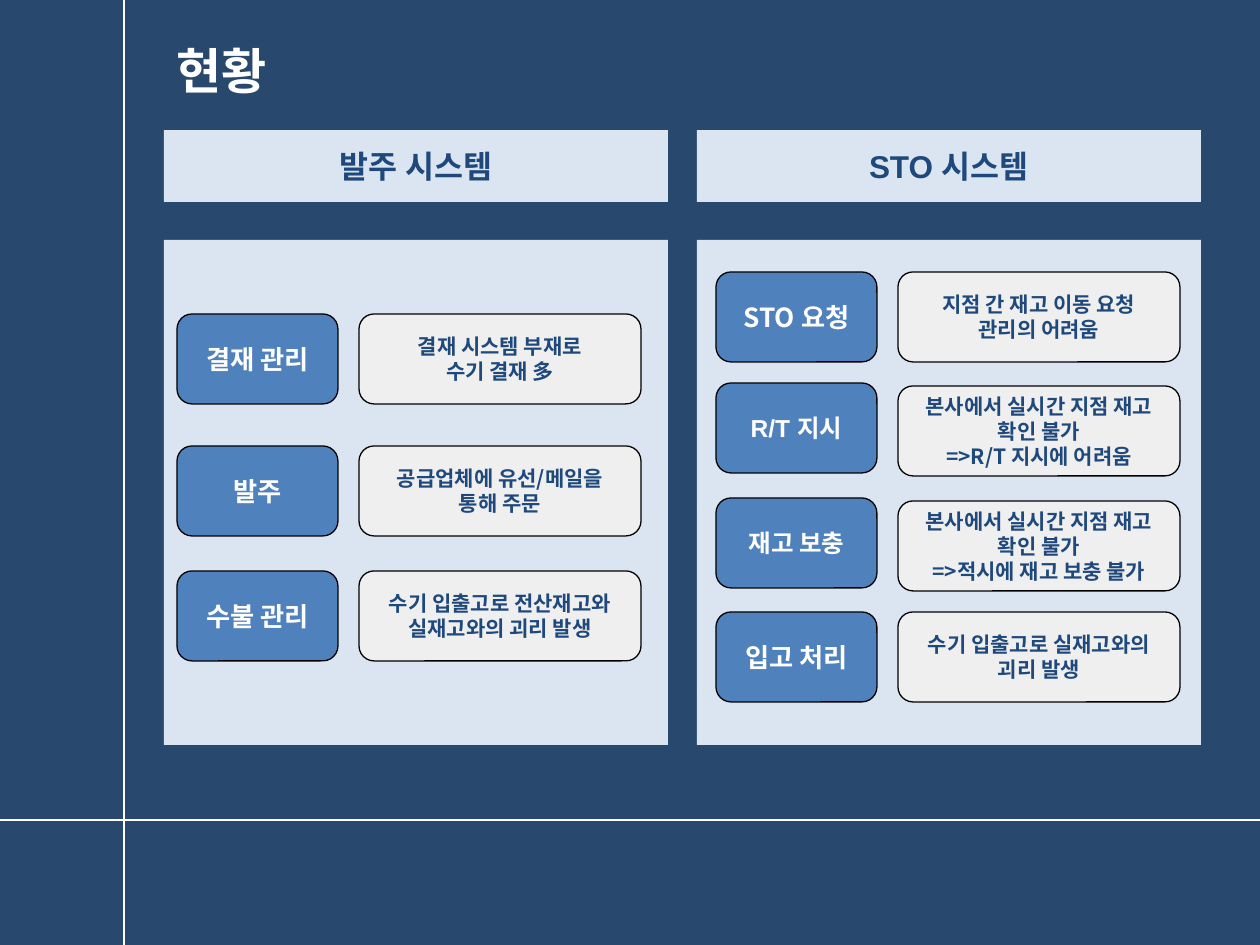
from dataclasses import dataclass

from lxml import etree
from pptx import Presentation
from pptx.dml.color import RGBColor
from pptx.enum.shapes import MSO_CONNECTOR, MSO_SHAPE
from pptx.enum.text import MSO_ANCHOR, PP_ALIGN
from pptx.oxml.ns import qn
from pptx.util import Emu, Pt

SCALE = 914400 // 126
WIDTH, HEIGHT = 1260, 945

NAVY = RGBColor(0x29, 0x48, 0x6D)
WHITE = RGBColor(0xFF, 0xFF, 0xFF)
BLACK = RGBColor(0, 0, 0)
PALE_BLUE = RGBColor(0xDA, 0xE5, 0xF1)
BLUE = RGBColor(0x4F, 0x81, 0xBD)
PALE_GRAY = RGBColor(0xEF, 0xEF, 0xEF)
DARK_BLUE = RGBColor(0x1F, 0x49, 0x7D)

KOREAN_FONT = "Noto Sans CJK KR"
LATIN_FONT = "Arial"
RECTANGLE = MSO_SHAPE.RECTANGLE
ROUNDED = MSO_SHAPE.ROUNDED_RECTANGLE
STRAIGHT = MSO_CONNECTOR.STRAIGHT
LEFT, CENTER = PP_ALIGN.LEFT, PP_ALIGN.CENTER
TOP, MIDDLE = MSO_ANCHOR.TOP, MSO_ANCHOR.MIDDLE

PANEL_WIDTH = 504
HEADER_TOP, HEADER_HEIGHT = 130, 72
PANEL_TOP, PANEL_HEIGHT = 240, 505
TASK_WIDTH, ISSUE_WIDTH, BOX_HEIGHT = 161, 282, 90
ISSUE_OFFSET = 182


@dataclass
class Row:
    top: int
    task: str
    issue: str
    size: int = 15
    font: str = KOREAN_FONT
    issue_drop: int = 0


@dataclass
class System:
    left: int
    inset: int
    name: str
    rows: list[Row]


SYSTEMS = [
    System(164, 13, "발주 시스템", [
        Row(314, "결재 관리", "결재 시스템 부재로\n수기 결재 多"),
        Row(446, "발주", "공급업체에 유선/메일을 통해 주문"),
        Row(571, "수불 관리", "수기 입출고로 전산재고와 실재고와의 괴리 발생"),
    ]),
    System(697, 19, "STO 시스템", [
        Row(272, "STO 요청", "지점 간 재고 이동 요청 관리의 어려움"),
        Row(383, "R/T 지시", "본사에서 실시간 지점 재고 확인 불가\n=>R/T 지시에 어려움",
            14, LATIN_FONT, 3),
        Row(498, "재고 보충", "본사에서 실시간 지점 재고 확인 불가\n=>적시에 재고 보충 불가",
            14, LATIN_FONT, 3),
        Row(612, "입고 처리", "수기 입출고로 실재고와의 괴리 발생"),
    ]),
]


def px(length: int) -> Emu:
    return Emu(length * SCALE)


def write_text(shape, text: str, *, size: int, color: RGBColor,
               font: str = KOREAN_FONT, align=CENTER, anchor=MIDDLE) -> None:
    frame = shape.text_frame
    frame.word_wrap = True
    frame.vertical_anchor = anchor
    for index, line in enumerate(text.split("\n")):
        paragraph = frame.add_paragraph() if index else frame.paragraphs[0]
        paragraph.alignment = align
        run = paragraph.add_run()
        run.text = line
        run.font.size = Pt(size)
        run.font.bold = True
        run.font.color.rgb = color
        run.font.name = font
        east_asian = etree.SubElement(run.font._element, qn("a:ea"))
        east_asian.set("typeface", KOREAN_FONT)


def add_box(slide, kind, left: int, top: int, width: int, height: int,
            fill: RGBColor, outlined: bool = False):
    shape = slide.shapes.add_shape(kind, px(left), px(top), px(width), px(height))
    shape.shadow.inherit = False
    shape.fill.solid()
    shape.fill.fore_color.rgb = fill
    if outlined:
        shape.line.color.rgb = BLACK
        shape.line.width = Pt(0.75)
    else:
        shape.line.fill.background()
    return shape


def add_rule(slide, x1: int, y1: int, x2: int, y2: int) -> None:
    rule = slide.shapes.add_connector(STRAIGHT, px(x1), px(y1), px(x2), px(y2))
    rule.line.color.rgb = WHITE
    rule.line.width = Pt(0.75)
    etree.SubElement(rule._element.spPr, qn("a:effectLst"))


def add_system(slide, system: System) -> None:
    add_box(slide, RECTANGLE, system.left, PANEL_TOP, PANEL_WIDTH, PANEL_HEIGHT, PALE_BLUE)
    header = add_box(slide, RECTANGLE, system.left, HEADER_TOP,
                     PANEL_WIDTH, HEADER_HEIGHT, PALE_BLUE)
    write_text(header, system.name, size=18, color=DARK_BLUE, font=LATIN_FONT)
    left = system.left + system.inset
    for row in system.rows:
        task = add_box(slide, ROUNDED, left, row.top, TASK_WIDTH, BOX_HEIGHT, BLUE, True)
        write_text(task, row.task, size=row.size, color=WHITE, font=row.font)
        issue = add_box(slide, ROUNDED, left + ISSUE_OFFSET, row.top + row.issue_drop,
                        ISSUE_WIDTH, BOX_HEIGHT, PALE_GRAY, True)
        write_text(issue, row.issue, size=12, color=DARK_BLUE)


presentation = Presentation()
presentation.slide_width = px(WIDTH)
presentation.slide_height = px(HEIGHT)
slide = presentation.slides.add_slide(presentation.slide_layouts[6])
slide.background.fill.solid()
slide.background.fill.fore_color.rgb = NAVY

add_rule(slide, 0, 820, WIDTH, 820)
add_rule(slide, 124, 0, 124, HEIGHT)
title = slide.shapes.add_textbox(px(164), px(34), px(631), px(131))
write_text(title, "현황", size=28, color=WHITE, align=LEFT, anchor=TOP)
for system in SYSTEMS:
    add_system(slide, system)

presentation.save("out.pptx")
